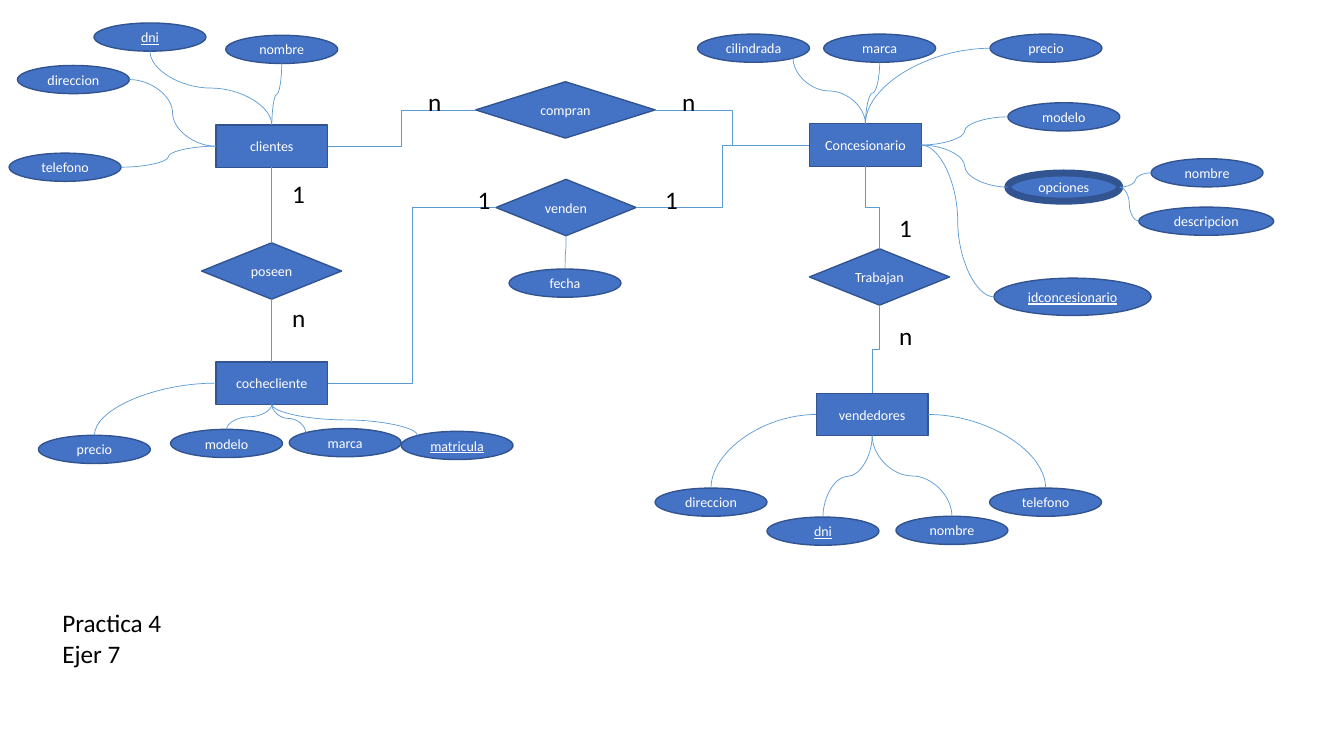
from collections import namedtuple

from lxml import etree
from pptx import Presentation
from pptx.dml.color import RGBColor
from pptx.enum.shapes import MSO_CONNECTOR, MSO_SHAPE
from pptx.enum.text import MSO_ANCHOR, PP_ALIGN
from pptx.oxml.ns import qn
from pptx.util import Cm, Pt

RECTANGLE, DIAMOND, ELLIPSE = MSO_SHAPE.RECTANGLE, MSO_SHAPE.DIAMOND, MSO_SHAPE.OVAL
CURVE, ELBOW = MSO_CONNECTOR.CURVE, MSO_CONNECTOR.ELBOW
MIDDLE, CENTER = MSO_ANCHOR.MIDDLE, PP_ALIGN.CENTER

FONT = "Calibri"
FILL, OUTLINE, LINK = "4472C4", "325491", "5B9BD5"
WHITE, BLACK = "FFFFFF", "000000"
NODE_WIDTH, ENTITY_HEIGHT, ATTRIBUTE_HEIGHT = 2.82, 1.07, 0.71
RELATION_WIDTH, RELATION_HEIGHT = 3.53, 1.42

Box = namedtuple("Box", "left top width height")
Site = namedtuple("Site", "across down polygon_index ellipse_index")
Attribute = namedtuple(
    "Attribute", "name right down site owner_site key width height outline",
    defaults=(False, NODE_WIDTH, ATTRIBUTE_HEIGHT, 1))

SITES = {
    "top": Site(0.5, 0, 0, 0),
    "left": Site(0, 0.5, 1, 2),
    "bottom": Site(0.5, 1, 2, 4),
    "right": Site(1, 0.5, 3, 6),
    "upper left": Site(0.146, 0.146, 0, 1),
    "lower right": Site(0.854, 0.854, 2, 5),
}


def color(code):
    return RGBColor.from_string(code)


def add_span(para, text, size, code, underline=False):
    span = para.add_run()
    span.text = text
    span.font.name = FONT
    span.font.size = Pt(size)
    span.font.color.rgb = color(code)
    if underline:
        span.font.underline = True


def add_node(page, kind, box, text, key=False, outline=1):
    node = page.shapes.add_shape(kind, *(Cm(length) for length in box))
    node.shadow.inherit = False
    node.fill.solid()
    node.fill.fore_color.rgb = color(FILL)
    node.line.color.rgb = color(OUTLINE)
    node.line.width = Pt(outline)
    frame = node.text_frame
    frame.word_wrap = True
    frame.vertical_anchor = MIDDLE
    frame.margin_left = frame.margin_right = 0
    frame.margin_top = frame.margin_bottom = 0
    para = frame.paragraphs[0]
    para.alignment = CENTER
    add_span(para, text, 10, WHITE, key)
    return node


def add_text(page, box, lines):
    label = page.shapes.add_textbox(*(Cm(length) for length in box))
    frame = label.text_frame
    frame.word_wrap = True
    for number, line in enumerate(lines):
        para = frame.add_paragraph() if number else frame.paragraphs[0]
        add_span(para, line, 18, BLACK)


def site_point(node, site):
    return (node.left + round(node.width * site.across),
            node.top + round(node.height * site.down))


def site_index(node, site):
    return site.ellipse_index if node.auto_shape_type == ELLIPSE else site.polygon_index


def link(page, kind, start, start_name, end, end_name):
    start_site, end_site = SITES[start_name], SITES[end_name]
    x1, y1 = site_point(start, start_site)
    x2, y2 = site_point(end, end_site)
    connector = page.shapes.add_connector(kind, x1, y1, x2, y2)
    connector.begin_connect(start, 0)
    connector.end_connect(end, 0)
    element = connector.element
    for tag, node, site in (("a:stCxn", start, start_site), ("a:endCxn", end, end_site)):
        element.find(".//" + qn(tag)).set("id", str(node.shape_id))
        element.find(".//" + qn(tag)).set("idx", str(site_index(node, site)))

    sideways = start_name in ("left", "right")
    rightward, upward = x2 >= x1, y2 < y1
    across, down = abs(x2 - x1), abs(y2 - y1)
    if sideways:
        width, height = across, down
        turn, flip_h, flip_v = (0 if rightward else 180), False, rightward == upward
    else:
        width, height = down, across
        turn, flip_h, flip_v = (90 if rightward == upward else 270), rightward, upward
    connector.width, connector.height = width, height
    connector.left = (x1 + x2 - width) // 2
    connector.top = (y1 + y2 - height) // 2
    frame = element.spPr.find(qn("a:xfrm"))
    frame.set("rot", str(turn * 60000))
    frame.set("flipH", str(int(flip_h)))
    frame.set("flipV", str(int(flip_v)))
    if sideways != (end_name in ("left", "right")):
        element.spPr.find(qn("a:prstGeom")).set("prst", "curvedConnector2")

    connector.line.color.rgb = color(LINK)
    connector.line.width = Pt(0.5)
    etree.SubElement(element.spPr, qn("a:effectLst"))


def add_attributes(page, owner, box, attributes):
    nodes = {}
    for item in attributes:
        place = Box(box.left + item.right, box.top + item.down, item.width, item.height)
        node = add_node(page, ELLIPSE, place, item.name, item.key, item.outline)
        link(page, CURVE, node, item.site, owner, item.owner_site)
        nodes[item.name] = (node, place)
    return nodes


def entity_region(page, left, top, name, attributes):
    box = Box(left, top, NODE_WIDTH, ENTITY_HEIGHT)
    entity = add_node(page, RECTANGLE, box, name)
    return entity, add_attributes(page, entity, box, attributes)


def relation_region(page, box, name, cardinalities, links, attributes=()):
    relation = add_node(page, DIAMOND, box, name)
    add_attributes(page, relation, box, attributes)
    for site, entity, entity_site in links:
        link(page, ELBOW, relation, site, entity, entity_site)
    for text, right, down in cardinalities:
        add_text(page, Box(box.left + right, box.top + down, 1, 1.03), [text])


def main():
    deck = Presentation()
    deck.slide_width, deck.slide_height = Cm(33.87), Cm(19.05)
    page = deck.slides.add_slide(deck.slide_layouts[6])

    clients, _ = entity_region(page, 5.44, 3.15, "clientes", [
        Attribute("dni", -3.07, -2.57, "bottom", "top", key=True),
        Attribute("direccion", -5, -1.5, "right", "left"),
        Attribute("telefono", -5.21, 0.71, "right", "left"),
        Attribute("nombre", 0.25, -2.26, "bottom", "top"),
    ])
    dealer, dealer_parts = entity_region(page, 20.4, 3.12, "Concesionario", [
        Attribute("cilindrada", -2.82, -2.26, "lower right", "top"),
        Attribute("marca", 0.36, -2.26, "bottom", "top"),
        Attribute("precio", 4.55, -2.26, "left", "top"),
        Attribute("modelo", 5, -0.53, "left", "right"),
        Attribute("opciones", 5, 1.24, "left", "right", outline=5),
        Attribute("idconcesionario", 4.65, 3.89, "left", "right", True, 3.96, 0.94),
    ])
    add_attributes(page, *dealer_parts["opciones"], [
        Attribute("nombre", 3.61, -0.36, "left", "right"),
        Attribute("descripcion", 3.3, 0.86, "left", "right", width=3.4),
    ])
    sellers, _ = entity_region(page, 20.57, 9.91, "vendedores", [
        Attribute("direccion", -4.06, 2.39, "top", "left"),
        Attribute("dni", -1.24, 3.12, "top", "bottom", key=True),
        Attribute("nombre", 2.01, 3.1, "top", "bottom"),
        Attribute("telefono", 4.37, 2.39, "top", "right"),
    ])
    client_cars, _ = entity_region(page, 5.44, 9.12, "cochecliente", [
        Attribute("precio", -4.47, 1.85, "top", "left"),
        Attribute("modelo", -1.14, 1.7, "top", "bottom"),
        Attribute("marca", 1.85, 1.68, "upper left", "bottom"),
        Attribute("matricula", 4.67, 1.75, "upper left", "bottom", key=True),
    ])

    relation_region(page, Box(11.99, 2.06, 4.52, RELATION_HEIGHT), "compran",
                    [("n", -1.45, 0), ("n", 4.95, 0)],
                    [("left", clients, "right"), ("right", dealer, "left")])
    relation_region(page, Box(12.5, 4.52, RELATION_WIDTH, RELATION_HEIGHT), "venden",
                    [("1", -0.71, 0), ("1", 4.01, 0)],
                    [("left", client_cars, "right"), ("right", dealer, "left")],
                    [Attribute("fecha", 0.33, 2.26, "top", "bottom")])
    relation_region(page, Box(5.08, 6.12, RELATION_WIDTH, RELATION_HEIGHT), "poseen",
                    [("1", 2.03, -1.75), ("n", 2.03, 1.37)],
                    [("top", clients, "bottom"), ("bottom", client_cars, "top")])
    relation_region(page, Box(20.4, 6.27, RELATION_WIDTH, RELATION_HEIGHT), "Trabajan",
                    [("1", 2.01, -1.04), ("n", 2.01, 1.68)],
                    [("top", dealer, "bottom"), ("bottom", sellers, "top")])
    add_text(page, Box(1.32, 15.19, 3.84, 1.8), ["Practica 4", "Ejer 7"])
    deck.save("out.pptx")


if __name__ == "__main__":
    main()
